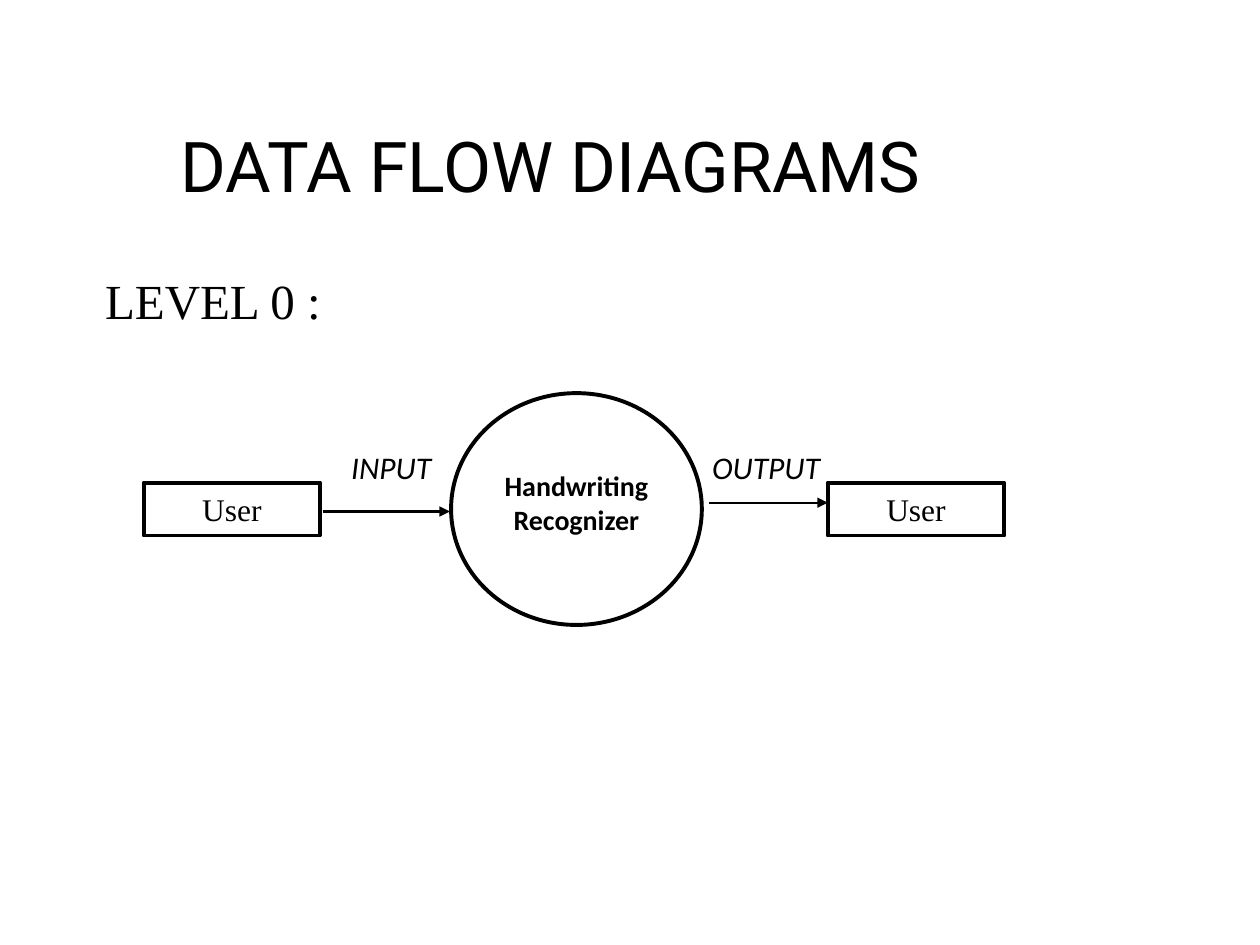
"""Builds the level 0 data flow diagram slide; places are percentages of the slide."""
from dataclasses import dataclass

import pptx
import pptx.dml.color
import pptx.enum.shapes
import pptx.enum.text
import pptx.oxml
import pptx.oxml.ns
import pptx.util
from lxml import etree

WIDTH = pptx.util.Inches(10)
HEIGHT = pptx.util.Inches(7.5)
BLACK = "000000"
WHITE = "FFFFFF"
SERIF = "Times New Roman"
SANS = "Calibri"
RECTANGLE = pptx.enum.shapes.MSO_SHAPE.RECTANGLE
OVAL = pptx.enum.shapes.MSO_SHAPE.OVAL


@dataclass(frozen=True)
class Area:
    """A box in percent of the slide's width and height."""
    left: float
    top: float
    width: float
    height: float

    def lengths(self) -> tuple[int, int, int, int]:
        """Return the box in slide units."""
        return across(self.left), down(self.top), across(self.width), down(self.height)


@dataclass(frozen=True)
class Style:
    """The look of a text."""
    font: str
    size: float
    bold: bool = False
    italic: bool = False


@dataclass(frozen=True)
class Node:
    """An outlined part of the diagram."""
    text: str
    area: Area
    outline: int
    style: Style
    bottom_inset: float = 0.05


@dataclass(frozen=True)
class Label:
    """A free text."""
    text: str
    area: Area
    style: Style
    wrap: bool = True


@dataclass(frozen=True)
class Flow:
    """A horizontal arrow from one share of the width to another."""
    start: float
    end: float
    level: float


def across(share: float) -> int:
    """Turn a percentage of the width into a length."""
    return round(WIDTH * share / 100)


def down(share: float) -> int:
    """Turn a percentage of the height into a length."""
    return round(HEIGHT * share / 100)


def colour(code: str) -> pptx.dml.color.RGBColor:
    """Turn a hex string into a colour."""
    return pptx.dml.color.RGBColor.from_string(code)


def write(frame, text: str, style: Style) -> None:
    """Put centred, styled text into a text frame."""
    frame.text = text
    for paragraph in frame.paragraphs:
        paragraph.alignment = pptx.enum.text.PP_ALIGN.CENTER
        for run in paragraph.runs:
            run.font.name = style.font
            run.font.size = pptx.util.Pt(style.size)
            run.font.bold = style.bold
            run.font.italic = style.italic
            run.font.color.rgb = colour(BLACK)


def draw_node(slide, node: Node) -> None:
    """Draw an outlined shape with its text."""
    shape = slide.shapes.add_shape(node.outline, *node.area.lengths())
    shape.shadow.inherit = False
    shape.fill.solid()
    shape.fill.fore_color.rgb = colour(WHITE)
    shape.line.color.rgb = colour(BLACK)
    shape.line.width = pptx.util.Pt(2.25)
    shape.text_frame.margin_bottom = pptx.util.Inches(node.bottom_inset)
    shape.text_frame.vertical_anchor = pptx.enum.text.MSO_ANCHOR.MIDDLE
    write(shape.text_frame, node.text, node.style)


def draw_label(slide, label: Label) -> None:
    """Draw a free text."""
    frame = slide.shapes.add_textbox(*label.area.lengths()).text_frame
    frame.word_wrap = label.wrap
    write(frame, label.text, label.style)


def draw_flow(slide, flow: Flow) -> None:
    """Draw an arrow that points right."""
    level = down(flow.level)
    arrow = slide.shapes.add_connector(
        pptx.enum.shapes.MSO_CONNECTOR.STRAIGHT,
        across(flow.start), level, across(flow.end), level)
    arrow.line.color.rgb = colour(BLACK)
    arrow.line.width = pptx.util.Pt(1.25)
    qn = pptx.oxml.ns.qn
    etree.SubElement(arrow.line._get_or_add_ln(), qn("a:tailEnd"), type="triangle")
    etree.SubElement(arrow._element.spPr, qn("a:effectLst"))


def main() -> None:
    """Build and save the slide."""
    deck = pptx.Presentation()
    deck.slide_width, deck.slide_height = WIDTH, HEIGHT
    slide = deck.slides.add_slide(deck.slide_layouts[6])

    user_style = Style(SERIF, 18)
    flow_style = Style(SANS, 18, italic=True)
    users = [Node("User", Area(left, 51.07, 14, 5.6), RECTANGLE, user_style)
             for left in (11.4, 65.7)]
    recognizer = Node("Handwriting\nRecognizer", Area(35.8, 41.6, 19.9, 24.53),
                      OVAL, Style(SANS, 16, bold=True), bottom_inset=0.16)
    flows = [Flow(25.6, 35.7, 54.13), Flow(56.3, 65.7, 53.2)]
    labels = [
        Label("INPUT", Area(26.4, 46.8, 9.3, 5.33), flow_style, wrap=False),
        Label("OUTPUT", Area(55.5, 46.8, 10.6, 5.33), flow_style, wrap=False),
        Label("DATA FLOW DIAGRAMS", Area(13, 12.27, 61.4, 10.27), Style("Roboto", 40)),
        Label("LEVEL 0 :", Area(5.1, 28, 23.6, 7.6), Style(SERIF, 28)),
    ]

    for node in (*users, recognizer):
        draw_node(slide, node)
    for flow in flows:
        draw_flow(slide, flow)
    for label in labels:
        draw_label(slide, label)
    deck.save("out.pptx")


if __name__ == "__main__":
    main()
